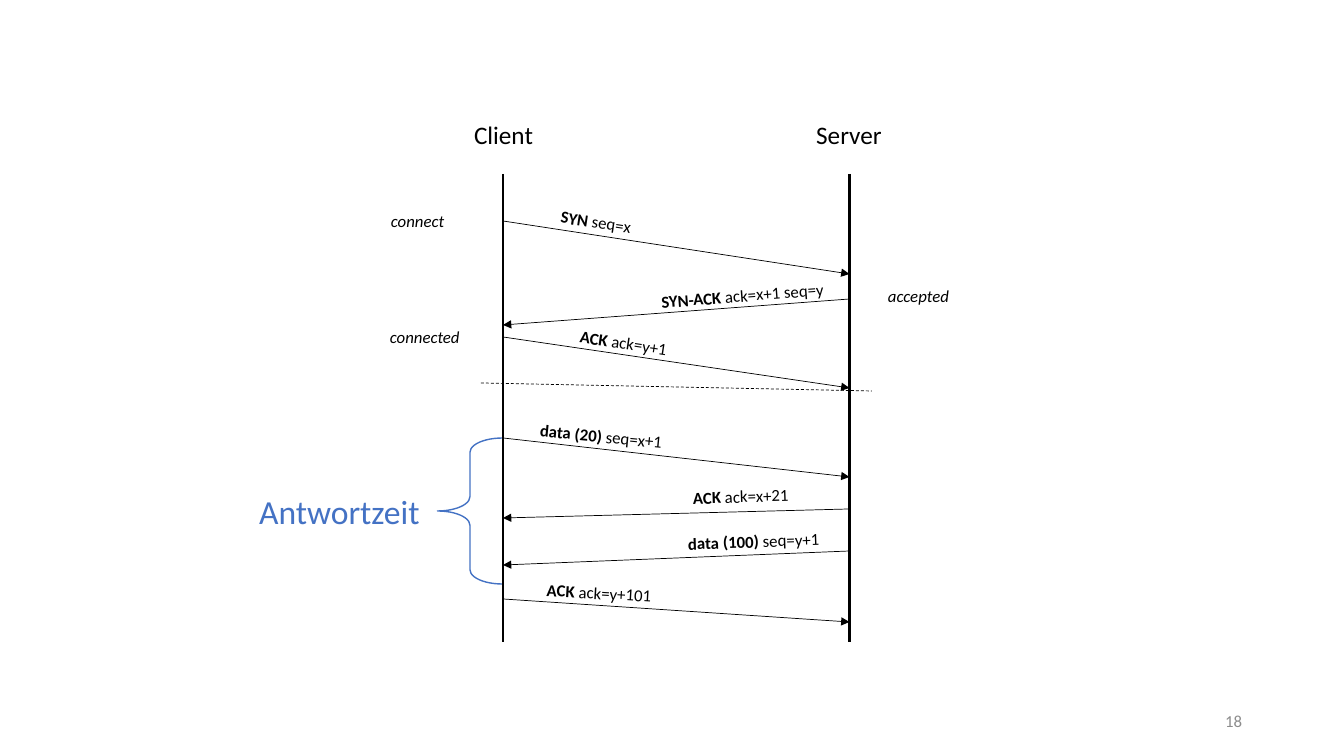
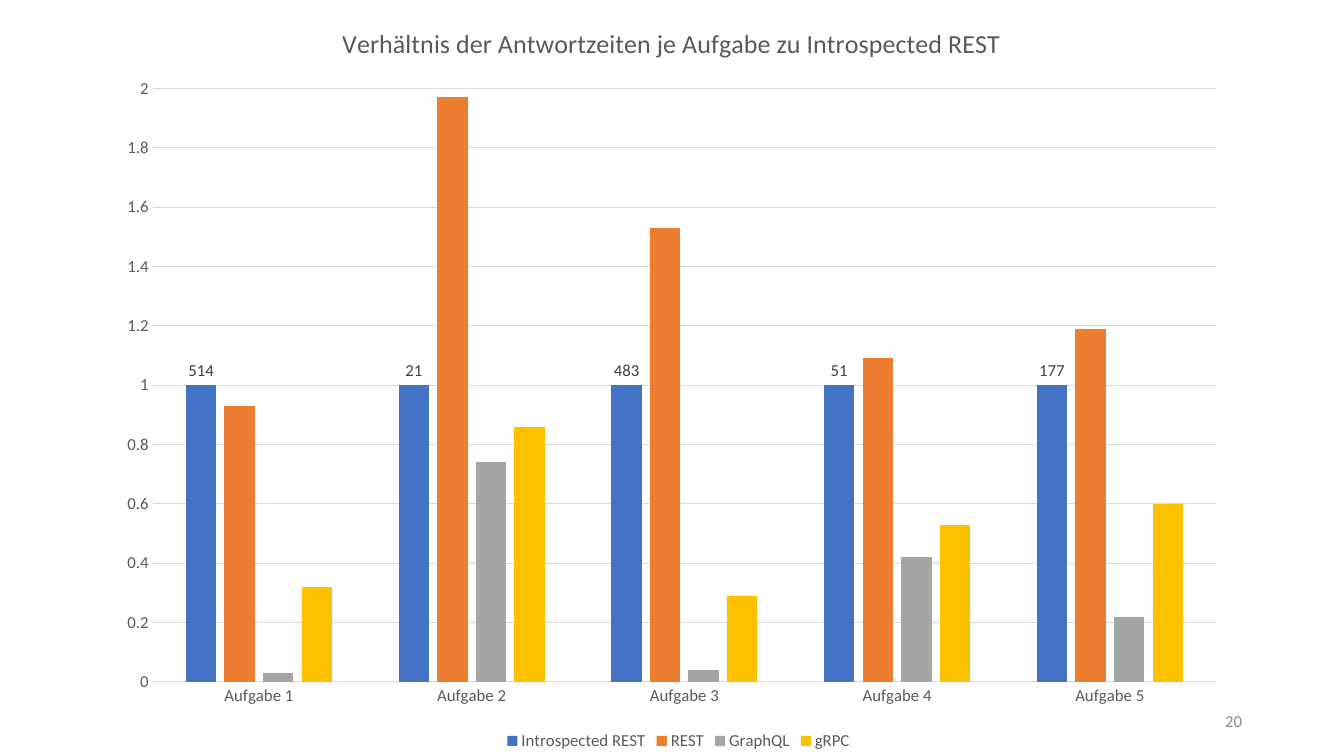
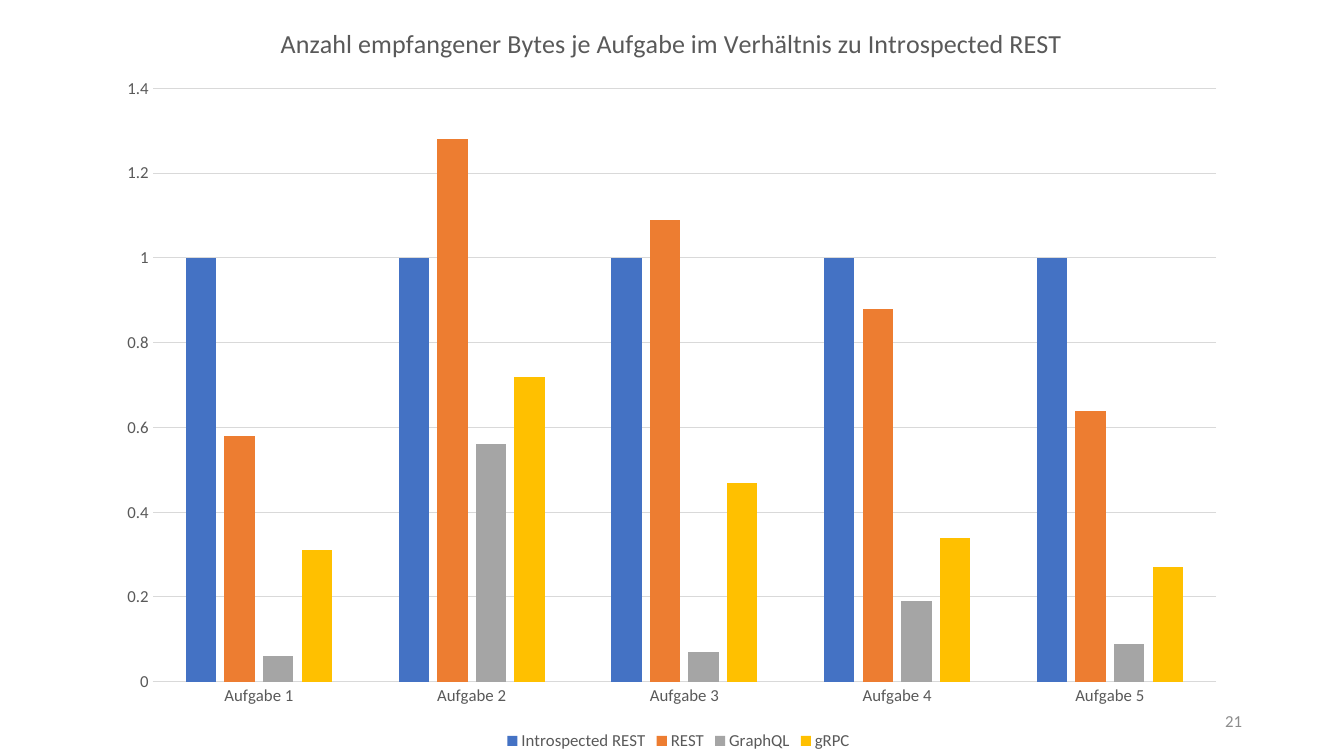
import lxml.etree
import pptx
import pptx.chart.data
import pptx.dml.color
import pptx.enum.chart
import pptx.enum.dml
import pptx.enum.shapes
import pptx.enum.text
import pptx.oxml.ns
import pptx.util

EMU_PER_PIXEL = 914400 / 100.8
SLIDE_W, SLIDE_H = 1344, 756

FONT = "Calibri"
BLACK, BLUE, TEXT_GREY = "000000", "4472C4", "595959"
LABEL_GREY, GRID_GREY, NUMBER_GREY = "404040", "D9D9D9", "8C8C8C"
SERIES_COLOURS = [BLUE, "ED7D31", "A5A5A5", "FFC000"]

ALIGN = pptx.enum.text.PP_ALIGN
ANCHOR = pptx.enum.text.MSO_ANCHOR
qn = pptx.oxml.ns.qn


def px(length):
    return pptx.util.Emu(round(length * EMU_PER_PIXEL))


def rgb(colour):
    return pptx.dml.color.RGBColor.from_string(colour)


def style_font(font, size, colour, bold=False, italic=False):
    font.name = FONT
    font.size = pptx.util.Pt(size)
    font.bold = bold
    font.italic = italic
    font.color.rgb = rgb(colour)


def style_line(line, colour, width):
    line.fill.solid()
    line.fill.fore_color.rgb = rgb(colour)
    line.width = pptx.util.Pt(width)


def place_in_chart(part, index, **fractions):
    """Give a chart part a fixed place, in fractions of the chart."""
    old = part.find(qn("c:layout"))
    if old is not None:
        part.remove(old)
    layout = lxml.etree.Element(qn("c:layout"))
    manual = lxml.etree.SubElement(layout, qn("c:manualLayout"))
    settings = {"xMode": "edge", "yMode": "edge", **fractions}
    if "w" in fractions:
        settings = {"layoutTarget": "inner", **settings}
    for tag, value in settings.items():
        lxml.etree.SubElement(manual, qn("c:" + tag)).set("val", str(value))
    part.insert(index, layout)


class Deck:
    def __init__(self):
        self.presentation = pptx.Presentation()
        self.presentation.slide_width = px(SLIDE_W)
        self.presentation.slide_height = px(SLIDE_H)
        self.slide = None

    def new_slide(self, number):
        blank = self.presentation.slide_layouts[6]
        self.slide = self.presentation.slides.add_slide(blank)
        self.text((950, 701, 302, 40), [(str(number), {})], 12, NUMBER_GREY,
                  ALIGN.RIGHT, ANCHOR.MIDDLE)

    def text(self, box, runs, size=12, colour=BLACK, align=ALIGN.LEFT,
             anchor=ANCHOR.TOP, rotation=0):
        holder = self.slide.shapes.add_textbox(*map(px, box))
        holder.rotation = rotation
        frame = holder.text_frame
        frame.word_wrap = True
        frame.vertical_anchor = anchor
        paragraph = frame.paragraphs[0]
        paragraph.alignment = align
        for words, emphasis in runs:
            run = paragraph.add_run()
            run.text = words
            style_font(run.font, size, colour, **emphasis)

    def line(self, start, end, width=0.5, arrow=False, dashed=False):
        connector = self.slide.shapes.add_connector(
            pptx.enum.shapes.MSO_CONNECTOR.STRAIGHT, *map(px, start + end))
        style_line(connector.line, BLACK, width)
        if dashed:
            connector.line.dash_style = pptx.enum.dml.MSO_LINE.DASH
        properties = connector.element.spPr
        if arrow:
            outline = properties.find(qn("a:ln"))
            lxml.etree.SubElement(outline, qn("a:tailEnd")).set("type", "triangle")
        lxml.etree.SubElement(properties, qn("a:effectLst"))

    def brace(self, box, colour):
        brace = self.slide.shapes.add_shape(
            pptx.enum.shapes.MSO_SHAPE.LEFT_BRACE, *map(px, box))
        brace.shadow.inherit = False
        brace.adjustments[0] = 0.22
        brace.fill.background()
        style_line(brace.line, colour, 1)

    def column_chart(self, title, categories, series, maximum, first_labels=()):
        data = pptx.chart.data.CategoryChartData()
        data.categories = categories
        for name, values in series.items():
            data.add_series(name, values)
        chart = self.slide.shapes.add_chart(
            pptx.enum.chart.XL_CHART_TYPE.COLUMN_CLUSTERED,
            *map(px, (105, 0, 1134, SLIDE_H)), data).chart
        style_font(chart.font, 10, BLACK)

        # Title and legend
        chart.has_title = True
        heading = chart.chart_title.text_frame.paragraphs[0].add_run()
        heading.text = title
        style_font(heading.font, 18.6, TEXT_GREY)
        chart.has_legend = True
        chart.legend.position = pptx.enum.chart.XL_LEGEND_POSITION.BOTTOM
        chart.legend.include_in_layout = False
        style_font(chart.legend.font, 12, TEXT_GREY)
        place_in_chart(chart.element.find(".//" + qn("c:legend")), 1,
                       x=0.35, y=0.965)
        place_in_chart(chart.element.find(".//" + qn("c:plotArea")), 0,
                       x=0.042, y=0.117, w=0.938, h=0.785)

        # Axes
        for axis in (chart.category_axis, chart.value_axis):
            axis.major_tick_mark = pptx.enum.chart.XL_TICK_MARK.NONE
            axis.minor_tick_mark = pptx.enum.chart.XL_TICK_MARK.NONE
            style_font(axis.tick_labels.font, 12, TEXT_GREY)
        style_line(chart.category_axis.format.line, GRID_GREY, 0.75)
        scale = chart.value_axis
        scale.format.line.fill.background()
        scale.minimum_scale, scale.maximum_scale = 0, maximum
        scale.major_unit = 0.2
        scale.has_major_gridlines = True
        style_line(scale.major_gridlines.format.line, GRID_GREY, 0.75)

        # Columns
        plot = chart.plots[0]
        plot.gap_width, plot.overlap = 219, -27
        plot.vary_by_categories = False
        for columns, colour in zip(plot.series, SERIES_COLOURS):
            columns.invert_if_negative = False
            columns.format.fill.solid()
            columns.format.fill.fore_color.rgb = rgb(colour)
        for index, words in enumerate(first_labels):
            label = plot.series[0].points[index].data_label
            run = label.text_frame.paragraphs[0].add_run()
            run.text = words
            style_font(run.font, 12, LABEL_GREY)
            label.position = pptx.enum.chart.XL_LABEL_POSITION.OUTSIDE_END


deck = Deck()

# Sequence diagram: the response time of a TCP exchange
CLIENT_X, SERVER_X = 503, 849.5
deck.new_slide(18)
deck.brace((437.5, 438, 65, 146), BLUE)
deck.text((237, 486, 205, 50), [("Antwortzeit", {})], 24, BLUE, ALIGN.CENTER)

for host, x, label_left, label_width in [("Client", CLIENT_X, 443, 121),
                                         ("Server", SERVER_X, 785, 128)]:
    deck.line((x, 174), (x, 642), width=1.5)
    deck.text((label_left, 114, label_width, 58), [(host, {})], 18,
              align=ALIGN.CENTER)

# Each message: sender, start and end height, flag, fields, label box, rotation
messages = [
    ("client", 221, 274, "SYN ", "seq=x", (551, 207, 96, 28), 8.6),
    ("server", 299, 325, "SYN-ACK ", "ack=x+1 seq=y", (651, 280, 188, 28), -4.5),
    ("client", 337, 388, "ACK ", "ack=y+1", (570, 328, 112, 28), 8.6),
    ("client", 438, 477, "data (20) ", "seq=x+1", (530, 421, 146, 28), 5.4),
    ("server", 509, 518, "ACK ", "ack=x+21", (683, 481, 118, 30), -2),
    ("server", 551, 565, "data (100) ", "seq=y+1", (678, 526, 153, 28), -2),
    ("client", 599, 622, "ACK ", "ack=y+101", (537, 578, 132, 28), 3.4),
]
for sender, start_y, end_y, flag, fields, box, rotation in messages:
    ends = (CLIENT_X, SERVER_X) if sender == "client" else (SERVER_X, CLIENT_X)
    deck.line((ends[0], start_y), (ends[1], end_y), arrow=True)
    deck.text(box, [(flag, {"bold": True}), (fields, {})], rotation=rotation)

deck.line((481, 383), (872, 391), dashed=True)
for state, box in [("connect", (381, 206, 78, 30)),
                   ("connected", (380, 322, 97, 30)),
                   ("accepted", (878, 281, 86, 30))]:
    deck.text(box, [(state, {"italic": True})])

# Charts: each task relative to Introspected REST
tasks = [f"Aufgabe\u00a0{number}" for number in range(1, 6)]
baseline = [1] * len(tasks)

response_times = {
    "Introspected REST": baseline,
    "REST": [0.93, 1.97, 1.53, 1.09, 1.19],
    "GraphQL": [0.03, 0.74, 0.04, 0.42, 0.22],
    "gRPC": [0.32, 0.86, 0.29, 0.53, 0.6],
}
deck.new_slide(20)
deck.column_chart("Verhältnis der Antwortzeiten je Aufgabe zu Introspected REST",
                  tasks, response_times, 2, ["514", "21", "483", "51", "177"])

received_bytes = {
    "Introspected REST": baseline,
    "REST": [0.58, 1.28, 1.09, 0.88, 0.64],
    "GraphQL": [0.06, 0.56, 0.07, 0.19, 0.09],
    "gRPC": [0.31, 0.72, 0.47, 0.34, 0.27],
}
deck.new_slide(21)
deck.column_chart(
    "Anzahl empfangener Bytes je Aufgabe im Verhältnis zu Introspected REST",
    tasks, received_bytes, 1.4)

deck.presentation.save("out.pptx")
